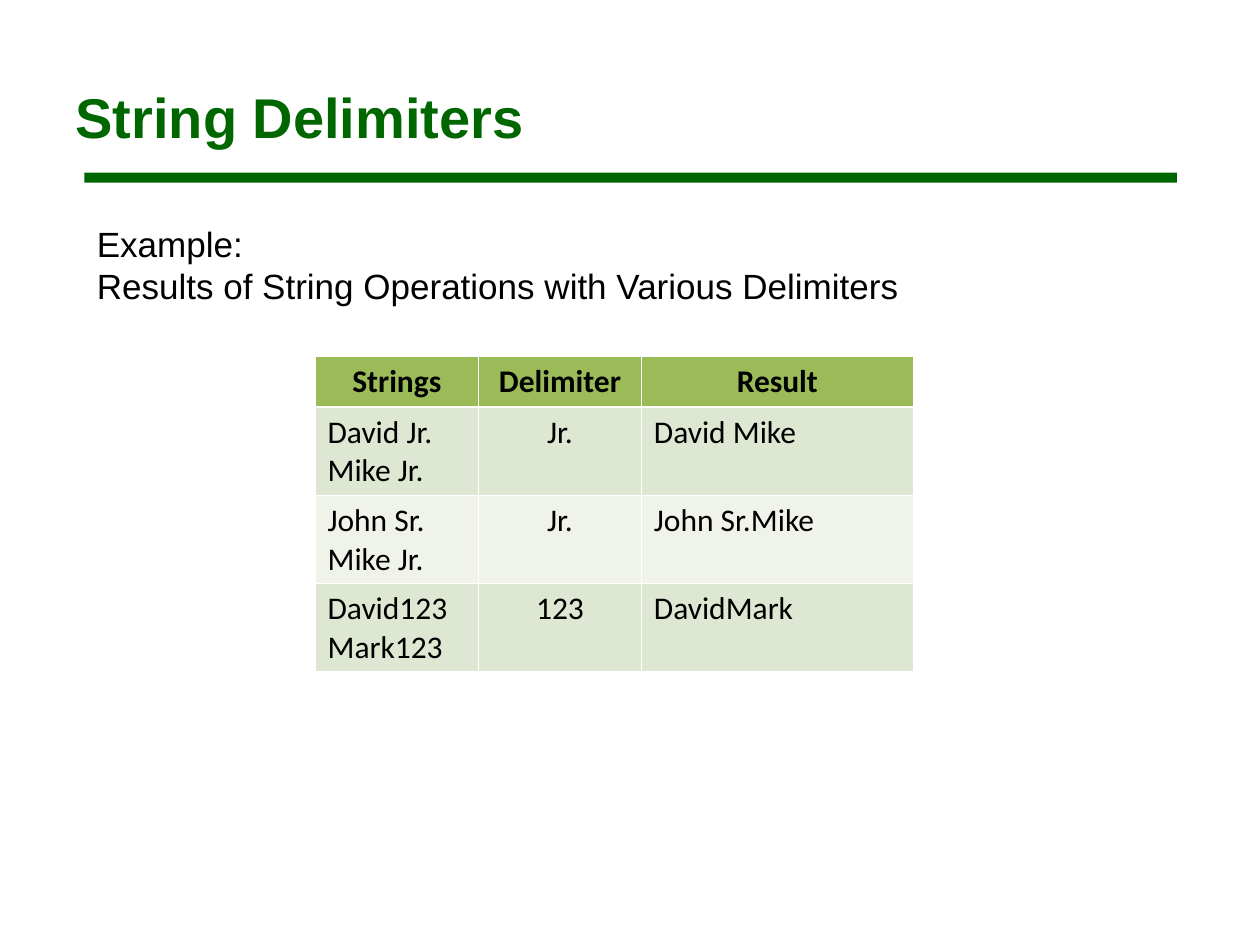
from dataclasses import dataclass

from lxml.etree import SubElement
from pptx import Presentation
from pptx.dml.color import RGBColor
from pptx.enum.shapes import MSO_SHAPE
from pptx.enum.text import MSO_ANCHOR, PP_ALIGN
from pptx.oxml.ns import qn
from pptx.util import Inches, Pt


@dataclass(frozen=True)
class Theme:
    green: str = "006600"
    black: str = "000000"
    white: str = "FFFFFF"
    header_fill: str = "9BBB59"
    bands: tuple = ("DEE7D1", "EFF3EA")
    text_font: str = "Arial"
    table_font: str = "Calibri"
    title_size: int = 32
    intro_size: int = 20
    table_size: int = 18
    thin_border: float = 0.45
    header_border: float = 1.47


THEME = Theme()
COLUMN_WIDTHS = (1.3, 1.29, 2.16)
ROW_HEIGHTS = (0.4, 0.7, 0.7, 0.7)
ALIGNMENTS = (PP_ALIGN.LEFT, PP_ALIGN.CENTER, PP_ALIGN.LEFT)
# Each cell is a tuple of its paragraphs
ROWS = (
    (("Strings",), ("Delimiter",), ("Result",)),
    (("David Jr.", "Mike Jr."), ("Jr.",), ("David Mike",)),
    (("John Sr.", "Mike Jr."), ("Jr.",), ("John Sr.Mike",)),
    (("David123", "Mark123"), ("123",), ("DavidMark",)),
)


def write_lines(frame, lines, font, size, color=THEME.black, bold=False,
                align=PP_ALIGN.LEFT, spacing=None):
    for index, line in enumerate(lines):
        paragraph = frame.add_paragraph() if index else frame.paragraphs[0]
        paragraph.alignment = align
        if spacing:
            paragraph.line_spacing = spacing
        run = paragraph.add_run()
        run.text = line
        run.font.name = font
        run.font.size = Pt(size)
        run.font.bold = bold
        run.font.color.rgb = RGBColor.from_string(color)


def add_title(slide, text):
    title = slide.shapes.title
    title.left, title.top = Inches(0.5), Inches(0.3)
    title.width, title.height = Inches(9), Inches(1.25)
    title.text_frame.vertical_anchor = MSO_ANCHOR.MIDDLE
    write_lines(title.text_frame, [text], THEME.text_font, THEME.title_size,
                THEME.green, bold=True)


def add_rule(slide):
    rule = slide.shapes.add_shape(MSO_SHAPE.RECTANGLE, Inches(0.67), Inches(1.37),
                                  Inches(8.67), Inches(0.08))
    rule.shadow.inherit = False
    rule.fill.solid()
    rule.fill.fore_color.rgb = RGBColor.from_string(THEME.green)
    rule.line.fill.background()


def add_intro(slide, lines):
    intro = slide.shapes.add_textbox(Inches(0.67), Inches(1.72),
                                     Inches(8.67), Inches(0.77))
    intro.text_frame.word_wrap = True
    write_lines(intro.text_frame, lines, THEME.text_font, THEME.intro_size,
                spacing=Pt(24))


def set_borders(cell, top, bottom):
    properties = cell._tc.get_or_add_tcPr()
    widths = {"L": THEME.thin_border, "R": THEME.thin_border, "T": top, "B": bottom}
    for side, width in widths.items():
        border = SubElement(properties, qn(f"a:ln{side}"), w=str(Pt(width)))
        fill = SubElement(border, qn("a:solidFill"))
        SubElement(fill, qn("a:srgbClr"), val=THEME.white)


def format_cell(cell, lines, row, column):
    is_header = row == 0
    # Borders precede the fill in the cell properties
    set_borders(cell,
                top=THEME.header_border if row == 1 else THEME.thin_border,
                bottom=THEME.header_border if is_header else THEME.thin_border)
    cell.fill.solid()
    cell.fill.fore_color.rgb = RGBColor.from_string(
        THEME.header_fill if is_header else THEME.bands[(row - 1) % 2])
    write_lines(cell.text_frame, lines, THEME.table_font, THEME.table_size,
                bold=is_header,
                align=PP_ALIGN.CENTER if is_header else ALIGNMENTS[column])


def add_results_table(slide):
    results = slide.shapes.add_table(
        len(ROWS), len(COLUMN_WIDTHS), Inches(2.5), Inches(2.83),
        Inches(sum(COLUMN_WIDTHS)), Inches(sum(ROW_HEIGHTS))).table
    for column, width in zip(results.columns, COLUMN_WIDTHS):
        column.width = Inches(width)
    for row, height in zip(results.rows, ROW_HEIGHTS):
        row.height = Inches(height)
    for row, cells in enumerate(ROWS):
        for column, lines in enumerate(cells):
            format_cell(results.cell(row, column), lines, row, column)


def main():
    presentation = Presentation()
    presentation.slide_width, presentation.slide_height = Inches(10), Inches(7.5)
    title_only = presentation.slide_layouts[5]
    slide = presentation.slides.add_slide(title_only)

    # Heading
    add_rule(slide)
    add_title(slide, "String Delimiters")

    # Example and its results
    add_intro(slide, ["Example:",
                      "Results of String Operations with Various Delimiters"])
    add_results_table(slide)

    presentation.save("out.pptx")


if __name__ == "__main__":
    main()
